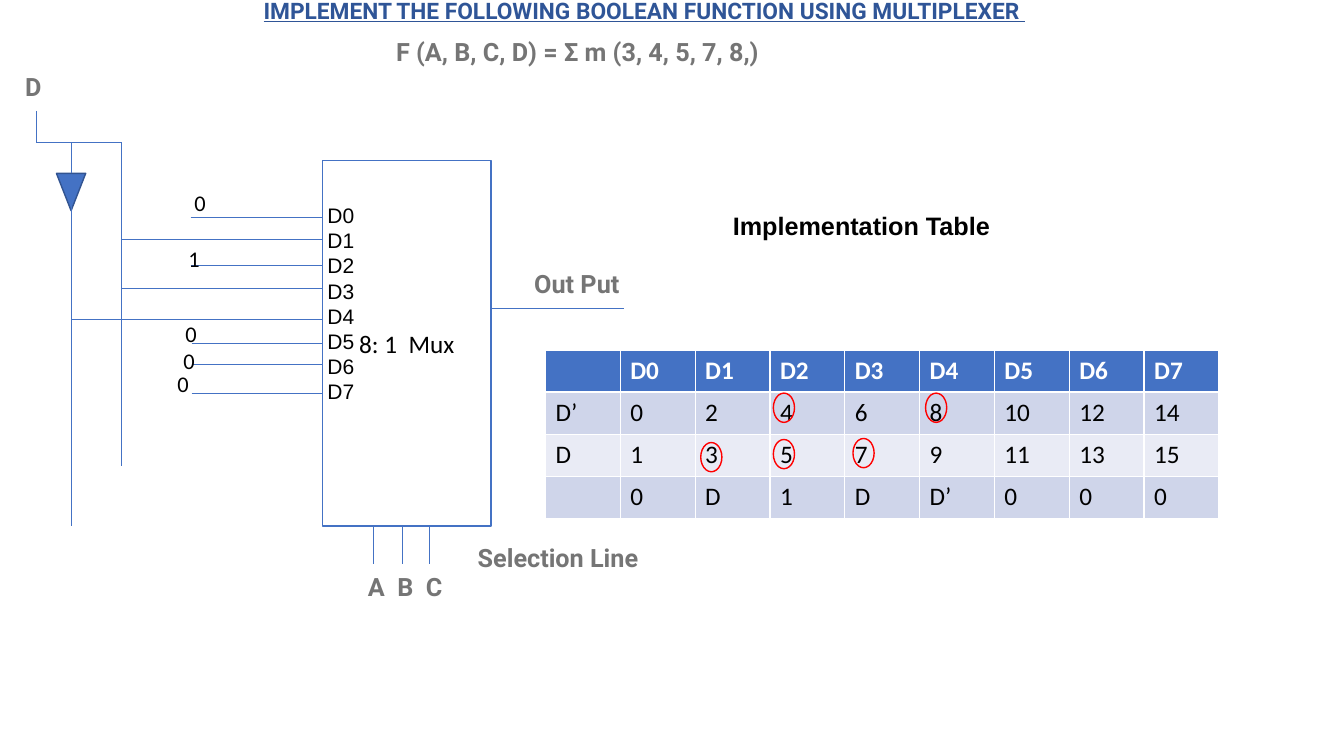
import pptx
import pptx.util
import pptx.dml.color
import pptx.enum.shapes
import pptx.enum.text
import pptx.oxml.ns
import lxml.etree

Inches = pptx.util.Inches
Pt = pptx.util.Pt
SHAPE = pptx.enum.shapes.MSO_SHAPE
ALIGN = pptx.enum.text.PP_ALIGN
ANCHOR = pptx.enum.text.MSO_ANCHOR

COLORS = {
    "title": "2F5597", "label": "757575", "black": "000000", "white": "FFFFFF",
    "wire": "4472C4", "outline": "325491", "ring": "FF0000",
    "band_dark": "CFD5EA", "band_light": "E9EBF5",
}
ROWS = [
    ["", "D0", "D1", "D2", "D3", "D4", "D5", "D6", "D7"],
    ["D’", "0", "2", "4", "6", "8", "10", "12", "14"],
    ["D", "1", "3", "5", "7", "9", "11", "13", "15"],
    ["", "0", "D", "1", "D", "D’", "0", "0", "0"],
]


def rgb(name):
    """Return the named colour."""
    return pptx.dml.color.RGBColor.from_string(COLORS[name])


def style(p, size, font, color, bold=False):
    """Format every run of a paragraph."""
    for r in p.runs:
        r.font.size, r.font.name, r.font.bold = Pt(size), font, bold
        r.font.color.rgb = rgb(color)


def add_text(s, x, y, w, h, text, size=18, font="Roboto", color="label", bold=True):
    """Add a wrapped text box and return its text frame."""
    tf = s.shapes.add_textbox(Inches(x), Inches(y), Inches(w), Inches(h)).text_frame
    tf.word_wrap = True
    tf.text = text
    for p in tf.paragraphs:
        style(p, size, font, color, bold)
        p.line_spacing = 1.07 if font != "Arial" else 1.0
    return tf


def add_wire(s, x1, y1, x2, y2):
    """Add a thin straight wire without a shadow."""
    c = s.shapes.add_connector(pptx.enum.shapes.MSO_CONNECTOR.STRAIGHT,
                               Inches(x1), Inches(y1), Inches(x2), Inches(y2))
    c.line.color.rgb, c.line.width = rgb("wire"), Pt(0.5)
    lxml.etree.SubElement(c._element.spPr, pptx.oxml.ns.qn("a:effectLst"))


def add_outlined(s, kind, x, y, w, h, line, fill=None):
    """Add a preset shape with a 1 pt outline and an optional fill."""
    sp = s.shapes.add_shape(kind, Inches(x), Inches(y), Inches(w), Inches(h))
    sp.shadow.inherit = False
    sp.line.color.rgb, sp.line.width = rgb(line), Pt(1)
    if fill:
        sp.fill.solid()
        sp.fill.fore_color.rgb = rgb(fill)
    else:
        sp.fill.background()
    return sp


def add_heading(s, x, y, w, h):
    """Add the underlined title and the function below it."""
    tf = add_text(s, x, y, w, h, "IMPLEMENT THE FOLLOWING BOOLEAN FUNCTION USING MULTIPLEXER ",
                  16.2, color="title")
    tf.margin_top = tf.margin_bottom = 0
    p = tf.paragraphs[0]
    p.alignment, p.line_spacing = ALIGN.CENTER, 0.9
    p.runs[0].font.underline = True
    add_text(s, x + 2.44, y + 0.29, 6.67, 0.41, "F (A, B, C, D) = Σ m (3, 4, 5, 7, 8,)")


def add_table(s, x, y, w, h):
    """Add the implementation table, its caption and the rings on the minterms."""
    add_text(s, x + 1.76, y - 1.44, 3.64, 0.4, "Implementation Table", font="Arial", color="black")
    table = s.shapes.add_table(len(ROWS), len(ROWS[0]), Inches(x), Inches(y),
                               Inches(w), Inches(h)).table
    for col in table.columns:
        col.width = Inches(w / len(ROWS[0]))
    for i, row in enumerate(ROWS):
        table.rows[i].height = Inches(0.42 if i else h - 3 * 0.42)
        fill = ["wire", "band_dark", "band_light", "band_dark"][i]
        for j, text in enumerate(row):
            cell = table.cell(i, j)
            cell.text = text
            cell.fill.solid()
            cell.fill.fore_color.rgb = rgb(fill)
            style(cell.text_frame.paragraphs[0], 18, "Calibri",
                  "black" if i else "white", i == 0)
    for dx, dy in [(3.77, 0.42), (1.54, 0.91), (2.26, 0.42), (2.26, 0.88), (3.05, 0.87)]:
        add_outlined(s, SHAPE.OVAL, x + dx, y + dy, 0.21, 0.29, "ring")


def add_mux(s, x, y, w, h):
    """Add the multiplexer with its input, output and selection wires."""
    sp = add_outlined(s, SHAPE.RECTANGLE, x, y, w, h, "wire", "white")
    tf = sp.text_frame
    tf.text = "8: 1  Mux"
    tf.vertical_anchor = ANCHOR.MIDDLE
    tf.paragraphs[0].alignment = ALIGN.CENTER
    style(tf.paragraphs[0], 18, "Calibri", "black")

    inputs = [(0.57, 1.31), (0.78, 2), (1.04, 1.31), (1.27, 2),
              (1.58, 2.49), (1.82, 1.3), (2.02, 1.3), (2.31, 1.3)]
    for dy, reach in inputs:
        add_wire(s, x - reach, y + dy, x, y + dy)
    add_wire(s, x + w, y + 1.47, x + w + 1.32, y + 1.47)
    for dx in (0.5, 0.79, 1.06):
        add_wire(s, x + dx, y + h, x + dx, y + h + 0.38)

    add_text(s, x + 2, y + 1, 1.55, 0.41, "Out Put")
    add_text(s, x + 1.44, y + 3.72, 2.27, 0.41, "Selection Line")
    add_text(s, x + 0.35, y + 4.01, 2.27, 0.41, "A  B  C")
    pins = add_text(s, x - 0.05, y + 0.37, 0.84, 2.1,
                    "\n".join(f"D{i}" for i in range(len(inputs))), 15, "Arial", "black", False)
    for p in pins.paragraphs:
        p.line_spacing = Pt(18)
    for digit, dx, dy in [("1", 1.43, 0.77), ("0", 1.37, 0.22), ("0", 1.46, 1.52),
                          ("0", 1.48, 1.79), ("0", 1.54, 2.01)]:
        add_text(s, x - dx, y + dy, 1.55, 0.38, digit, 16, "Calibri", "black", False)


def add_inverter(s, x, y, w, h):
    """Add the D input, which splits into a direct and an inverted rail."""
    inverted, split = x + 0.35, y + 0.31
    sp = add_outlined(s, SHAPE.ISOSCELES_TRIANGLE, inverted - 0.15, split + 0.31,
                      0.29, 0.37, "outline", "wire")
    sp.rotation = 180
    add_wire(s, x, y, x, split)
    add_wire(s, x, split, x + w, split)
    add_wire(s, x + w, split, x + w, y + 3.52)
    add_wire(s, inverted, split, inverted, split + 0.31)
    add_wire(s, inverted, split + 0.6, inverted, y + h)
    add_text(s, x - 0.21, y - 0.46, 1.55, 0.41, "D")


def main():
    """Build the slide and save it."""
    prs = pptx.Presentation()
    prs.slide_width, prs.slide_height = Inches(13.33), Inches(7.5)
    s = prs.slides.add_slide(prs.slide_layouts[6])
    add_heading(s, 1.39, 0, 10, 0.25)
    add_table(s, 5.41, 3.48, 6.68, 1.67)
    add_mux(s, 3.2, 1.59, 1.67, 3.63)
    add_inverter(s, 0.36, 1.1, 0.84, 4.12)
    prs.save("out.pptx")


if __name__ == "__main__":
    main()
